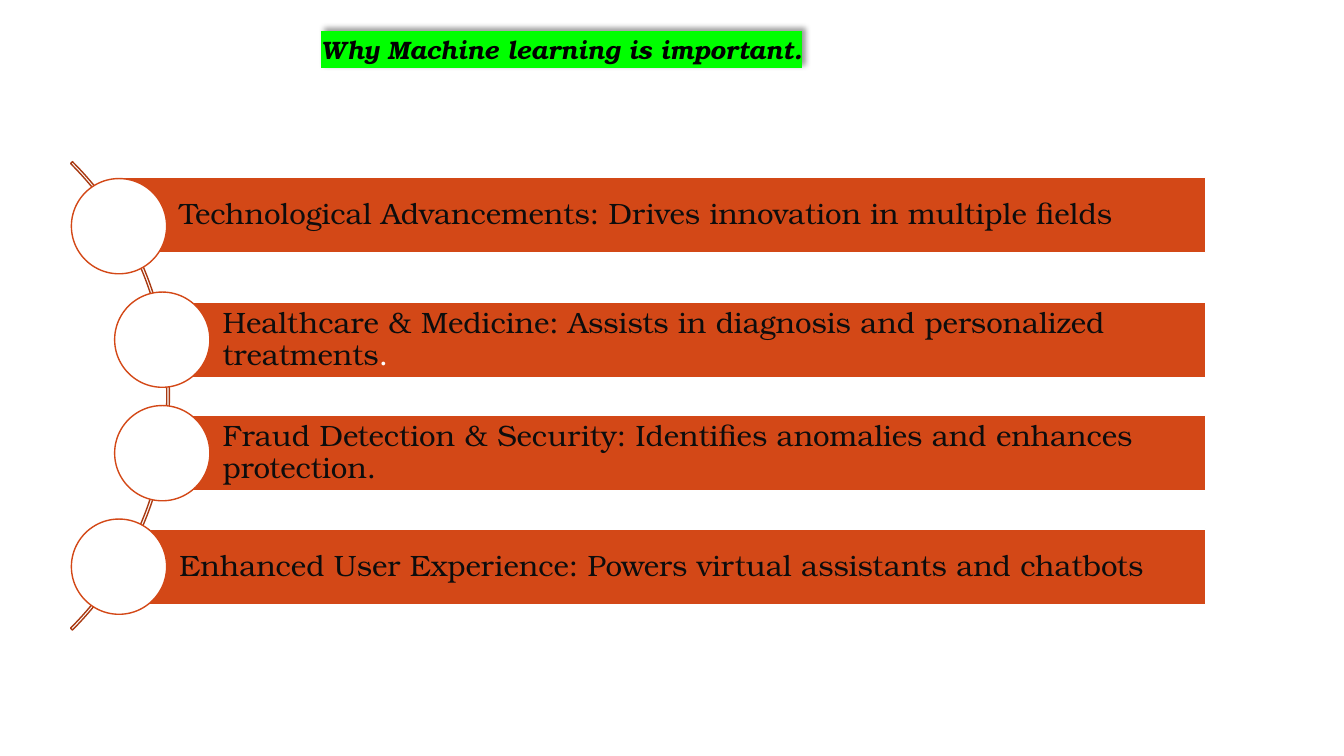
from lxml import etree
from pptx import Presentation
from pptx.dml.color import RGBColor
from pptx.enum.shapes import MSO_SHAPE as Preset
from pptx.enum.text import MSO_ANCHOR as Anchor, MSO_AUTO_SIZE as AutoSize, PP_ALIGN as Align
from pptx.oxml import parse_xml
from pptx.oxml.ns import nsdecls, qn
from pptx.util import Cm, Pt

# Content: each reason is a list of (text, colour) spans
ORANGE = RGBColor(0xD3, 0x48, 0x17)
RUST = RGBColor(0xA9, 0x3A, 0x12)
WHITE = RGBColor(0xFF, 0xFF, 0xFF)
BLACK = RGBColor(0x00, 0x00, 0x00)
INK = RGBColor(0x0D, 0x0D, 0x0D)
HIGHLIGHT = RGBColor(0x00, 0xFF, 0x00)
FONT = "TeX Gyre Bonum"

TITLE = "Why Machine learning is important."
REASONS = [
    [("Technological Advancements: Drives innovation in multiple fields", INK)],
    [("Healthcare & Medicine: Assists in diagnosis and personalized treatments", INK),
     (".", WHITE)],
    [("Fraud Detection & Security: Identifies anomalies and enhances protection.", INK)],
    [("Enhanced User Experience: Powers virtual assistants and chatbots", INK)],
]

# Layout in centimetres
CIRCLE, CIRCLE_TOP, PITCH = 2.4, 4.5, 2.86
OUTER_LEFT, INNER_LEFT = 1.8, 2.89
BAR_HEIGHT, BAR_RIGHT = 1.9, 30.38
FIRST_BAR_TOP = 4.47

TITLE_FORMAT = {"name": FONT, "size": Pt(18), "bold": True, "italic": True}
REASON_FORMAT = {"name": FONT, "size": Pt(21)}
BAR_FRAME = {"word_wrap": True, "vertical_anchor": Anchor.MIDDLE, "margin_left": Cm(1.52),
             "margin_right": Cm(0.15), "margin_top": Cm(0.15), "margin_bottom": Cm(0.15)}


def set_all(target, values):
    for name, value in values.items():
        setattr(target, name, value)


def add_span(para, text, colour, font_format):
    span = para.add_run()
    span.text = text
    set_all(span.font, font_format)
    span.font.color.rgb = colour
    return span


def add_preset(page, preset, left, top, width, height, fill, line):
    shape = page.shapes.add_shape(preset, Cm(left), Cm(top), Cm(width), Cm(height))
    shape.shadow.inherit = False
    if fill is None:
        shape.fill.background()
    else:
        shape.fill.solid()
        shape.fill.fore_color.rgb = fill
    shape.line.color.rgb = line
    shape.line.width = Pt(1)
    return shape


deck = Presentation()
deck.slide_width, deck.slide_height = Cm(33.87), Cm(19.05)
page = deck.slides.add_slide(deck.slide_layouts[6])

# Thin arc behind the circles, from 315 to 45 degrees
arc = add_preset(page, Preset.BLOCK_ARC, -12.42, 1.63, 16.69, 16.69, None, RUST)
for index, value in enumerate((189, 27, 0.004)):
    arc.adjustments[index] = value

# Bars start at the centre of their circle; the middle ones are indented
for row, spans in enumerate(REASONS):
    left = OUTER_LEFT if row in (0, len(REASONS) - 1) else INNER_LEFT
    top = CIRCLE_TOP + row * PITCH
    bar_left = left + CIRCLE / 2
    bar_top = top + (CIRCLE - BAR_HEIGHT) / 2 if row else FIRST_BAR_TOP
    bar = add_preset(page, Preset.RECTANGLE, bar_left, bar_top,
                     BAR_RIGHT - bar_left, BAR_HEIGHT, ORANGE, WHITE)
    set_all(bar.text_frame, BAR_FRAME)
    para = bar.text_frame.paragraphs[0]
    set_all(para, {"alignment": Align.LEFT, "line_spacing": 0.9})
    for text, colour in spans:
        add_span(para, text, colour, REASON_FORMAT)
    add_preset(page, Preset.OVAL, left, top, CIRCLE, CIRCLE, WHITE, ORANGE)

# Highlighted title with a soft shadow up and to the right
box = page.shapes.add_textbox(Cm(7.85), Cm(0.74), Cm(16.94), Cm(1.02))
set_all(box.text_frame, {"word_wrap": True, "auto_size": AutoSize.SHAPE_TO_FIT_TEXT})
span = add_span(box.text_frame.paragraphs[0], TITLE, BLACK, TITLE_FORMAT)
highlight = etree.Element(qn("a:highlight"))
etree.SubElement(highlight, qn("a:srgbClr"), val=str(HIGHLIGHT))
span.font.fill  # the text colour comes before the highlight
span._r.rPr.find(qn("a:solidFill")).addnext(highlight)
box._element.spPr.append(parse_xml(
    f'<a:effectLst {nsdecls("a")}>'
    '<a:outerShdw blurRad="50800" dist="38100" dir="18900000" algn="bl" rotWithShape="0">'
    '<a:srgbClr val="000000"><a:alpha val="40000"/></a:srgbClr>'
    '</a:outerShdw></a:effectLst>'))

deck.save("out.pptx")
